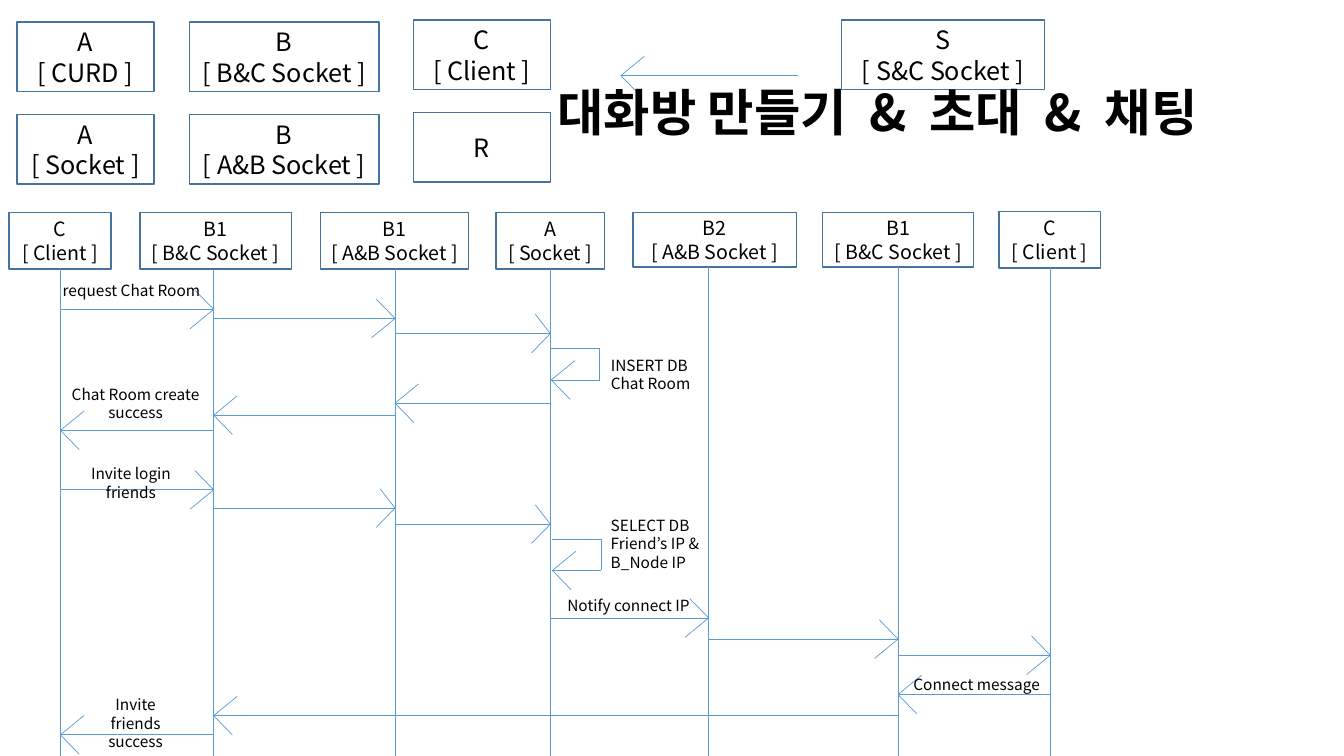
from pptx import Presentation
from pptx.dml.color import RGBColor
from pptx.enum.shapes import MSO_CONNECTOR, MSO_SHAPE
from pptx.enum.text import MSO_ANCHOR, PP_ALIGN
from pptx.oxml.ns import qn
from pptx.util import Pt
from lxml.etree import SubElement

COLORS = {"text": "000000", "border": "43739E", "line": "5B9BD5"}
FONT = "Noto Sans CJK KR"
WING_Y, UPPER_X, LOWER_X = 13.8, 13.4, 16.8


def rgb(name):
    return RGBColor.from_string(COLORS[name])


def style_run(r, size, bold=False):
    for key, value in {"name": FONT, "size": Pt(size), "bold": bold}.items():
        setattr(r.font, key, value)
    r.font.color.rgb = rgb("text")
    SubElement(r.font._element, qn("a:ea")).set("typeface", FONT)


def write(tf, text, size, align, wrap=False):
    tf.word_wrap = wrap
    tf.text = text
    for p in tf.paragraphs:
        p.alignment = align
        for r in p.runs:
            style_run(r, size)


def add_line(shapes, x1, y1, x2, y2):
    sp = shapes.add_connector(MSO_CONNECTOR.STRAIGHT, Pt(x1), Pt(y1), Pt(x2), Pt(y2))
    sp.line.color.rgb = rgb("line")
    sp.line.width = Pt(0.5)
    SubElement(sp._element.spPr, qn("a:effectLst"))


def add_head(shapes, x, y, way, scale=1):
    for dx, dy in ((UPPER_X, WING_Y), (LOWER_X, -WING_Y)):
        add_line(shapes, x - way * dx * scale, y - way * dy, x, y)


def add_arrow(shapes, x1, x2, y, scale=1):
    add_line(shapes, x1, y, x2, y)
    add_head(shapes, x2, y, 1 if x2 > x1 else -1, scale)


def add_node(shapes, text, x, y, w, h, size):
    sp = shapes.add_shape(MSO_SHAPE.RECTANGLE, Pt(x), Pt(y), Pt(w), Pt(h))
    sp.shadow.inherit = False
    sp.fill.background()
    sp.line.color.rgb = rgb("border")
    sp.line.width = Pt(1)
    sp.text_frame.vertical_anchor = MSO_ANCHOR.MIDDLE
    write(sp.text_frame, text, size, PP_ALIGN.CENTER)


def add_label(shapes, text, x, y, w, h, align=PP_ALIGN.CENTER, wrap=False):
    sp = shapes.add_textbox(Pt(x), Pt(y), Pt(w), Pt(h))
    write(sp.text_frame, text, 11, align, wrap)


def add_legend(slide, left, top):
    columns = [
        (0, 1.4, 97.9, ["A\n[ CURD ]", "A\n[ Socket ]"]),
        (123.1, 1.4, 135.4, ["B\n[ B&C Socket ]", "B\n[ A&B Socket ]"]),
        (283, 0, 97.9, ["C\n[ Client ]", "R"]),
        (589, 0, 144.7, ["S\n[ S&C Socket ]"]),
    ]
    for x, y, w, names in columns:
        for row, name in enumerate(names):
            add_node(slide.shapes, name, left + x, top + y + row * 66, w, 49.7, 18)
    arrow = slide.shapes.add_group_shape().shapes
    add_arrow(arrow, left + 558, left + 431.3, top + 39.6)


def add_title(slide, left, top, width, height):
    tf = slide.shapes.add_textbox(Pt(left), Pt(top), Pt(width), Pt(height)).text_frame
    tf.word_wrap = False
    p = tf.paragraphs[0]
    for text in ("대화방 만들기", " &", " 초대", " &", " 채팅"):
        r = p.add_run()
        r.text = text
        style_run(r, 36, True)
        if text == " &":
            r.font._element.set("spc", "800")


def add_sequence(slide, left, top, bottom):
    shapes = slide.shapes.add_group_shape().shapes
    actors = [
        ("C\n[ Client ]", 0, 0.7, 72.7, 40.3, 36.7),
        ("B1\n[ B&C Socket ]", 93.6, 0.7, 108, 40.3, 146.1),
        ("B1\n[ A&B Socket ]", 222.5, 0.7, 105.8, 40.3, 275.7),
        ("A\n[ Socket ]", 347.7, 0.7, 77.8, 40.3, 386.6),
        ("B2\n[ A&B Socket ]", 445.7, 0.7, 116.6, 38.9, 499.7),
        ("B1\n[ B&C Socket ]", 581, 0.7, 108, 38.9, 635),
        ("C\n[ Client ]", 707, 0, 72.7, 40.3, 743.7),
    ]
    lifelines = [left + actor[-1] for actor in actors]
    for (name, x, y, w, h, _), life in zip(actors, lifelines):
        add_node(shapes, name, left + x, top + y, w, h, 14)
        add_line(shapes, life, top + y + h, life, bottom)

    messages = [
        (0, 1, 69.8, 1), (1, 2, 76.3, 1), (2, 3, 87.1, 0.8),
        (3, 2, 136.8, 1), (2, 1, 145.4, 1), (1, 0, 156.2, 1),
        (0, 1, 198.7, 1), (1, 2, 211.7, 0.8), (2, 3, 223.2, 0.8),
        (3, 4, 290.2, 1), (4, 5, 305.3, 1), (5, 6, 316.8, 1),
        (6, 5, 344.9, 1), (5, 1, 360, 1), (1, 0, 373.7, 1),
    ]
    for start, end, y, scale in messages:
        add_arrow(shapes, lifelines[start], lifelines[end], top + y, scale)

    for x, y in ((387.3, 97.9), (388.1, 234)):
        near, far = left + x, left + x + 34.6
        upper, lower = top + y, top + y + 22.3
        add_line(shapes, near, upper, far, upper)
        add_line(shapes, far, upper, far, lower)
        add_arrow(shapes, far, near, lower)

    centered = [
        ("request Chat Room", 31, 46.1, 113, 20.9, False),
        ("Chat Room create\vsuccess", 37.5, 120.2, 105.8, 33.8, False),
        ("Invite login friends", 32.4, 177.1, 109.4, 20.9, True),
        ("Notify connect IP", 389.6, 270.7, 105.8, 20.9, False),
        ("Connect message", 637.2, 327.6, 108, 20.9, False),
        ("Invite friends\vsuccess", 50.4, 342, 79.9, 33.8, True),
    ]
    for text, x, y, w, h, wrap in centered:
        add_label(shapes, text, left + x, top + y, w, h, wrap=wrap)
    for text, y, w, h in (
        ("INSERT DB\nChat Room", 99.4, 72.7, 33.8),
        ("SELECT DB\nFriend’s IP &\nB_Node IP", 213.8, 79.2, 47.5),
    ):
        add_label(shapes, text, left + 422.7, top + y, w, h, PP_ALIGN.LEFT)


prs = Presentation()
prs.slide_width, prs.slide_height = Pt(960), Pt(540)
slide = prs.slides.add_slide(prs.slide_layouts[6])
add_legend(slide, 12.2, 14.4)
add_title(slide, 391, 54.7, 504, 51.1)
add_sequence(slide, 6.5, 151.2, 540)
prs.save("out.pptx")
